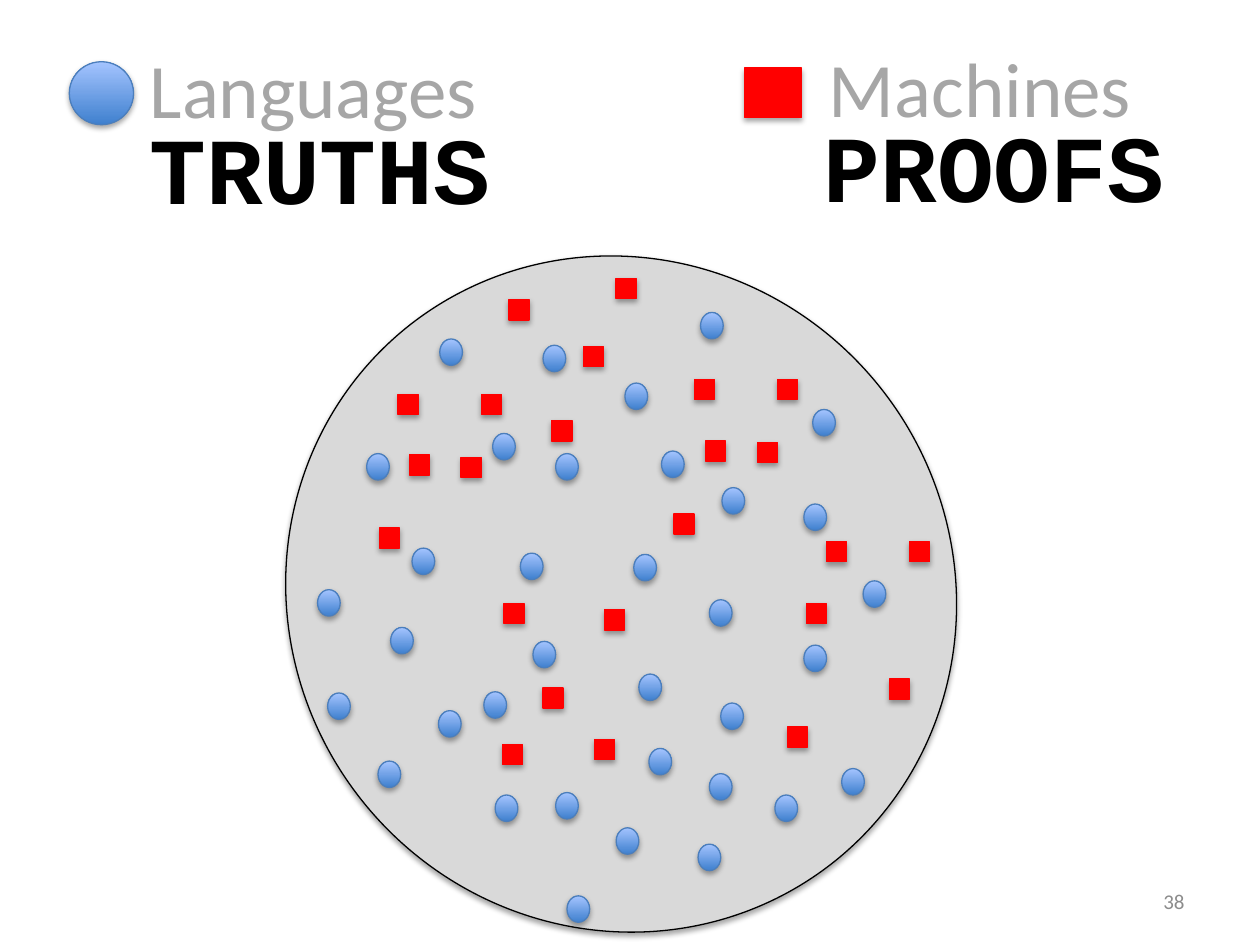
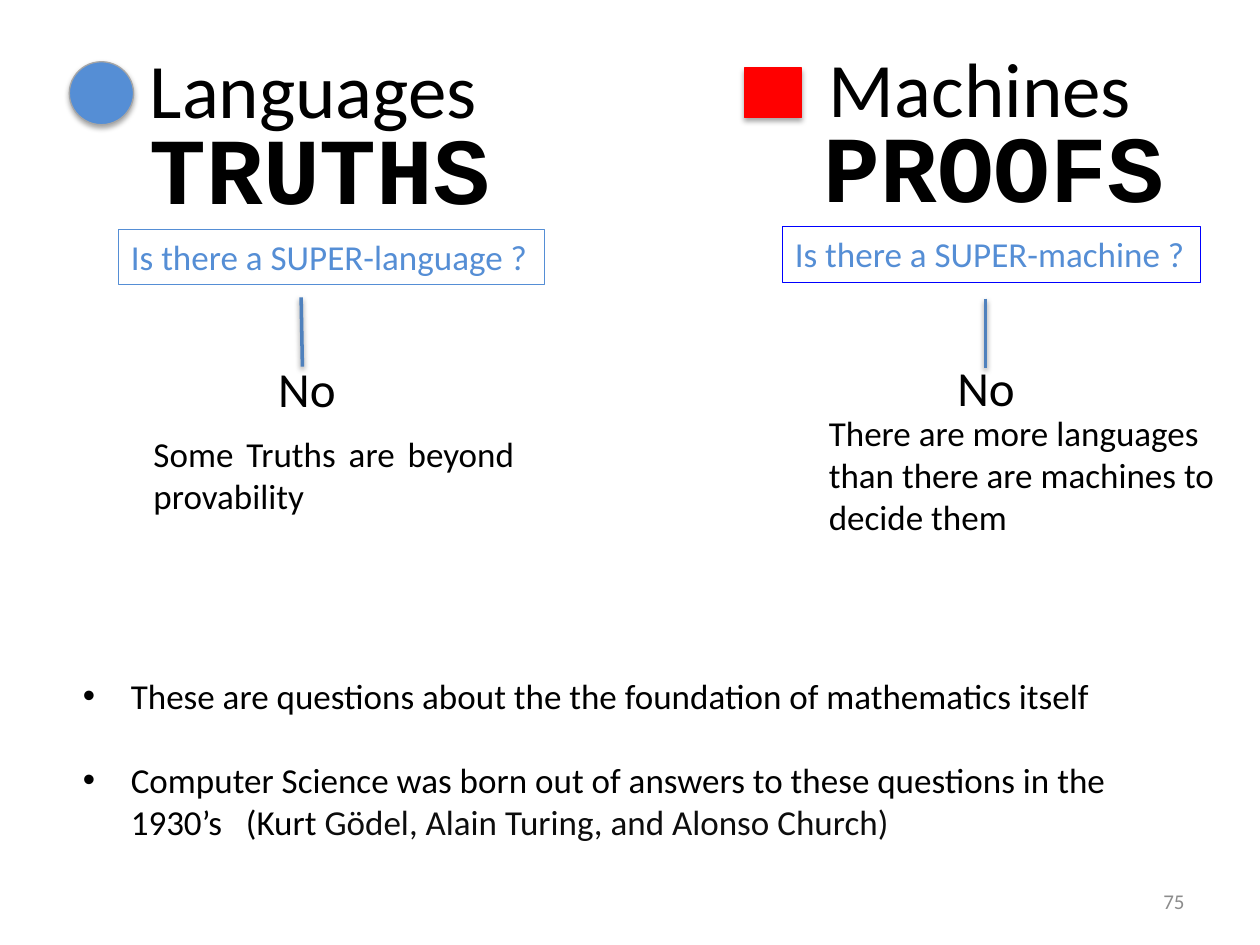
from dataclasses import dataclass

from lxml.etree import SubElement
from pptx import Presentation
from pptx.dml.color import RGBColor
from pptx.enum.shapes import MSO_CONNECTOR as Connector, MSO_SHAPE as Shape
from pptx.enum.text import MSO_ANCHOR as Anchor, MSO_AUTO_SIZE as AutoSize, PP_ALIGN as Align
from pptx.oxml.ns import qn
from pptx.util import Inches, Pt


@dataclass(frozen=True)
class Theme:
    body_font: str = "Calibri"
    label_font: str = "Courier New"
    black: str = "000000"
    soft_black: str = "0D0D0D"
    muted: str = "A6A6A6"
    number: str = "8C8C8C"
    disc: str = "D9D9D9"
    blue: str = "558ED5"
    blue_dark: str = "3F80CE"
    blue_light: str = "A4C4FF"
    blue_edge: str = "4B7EBC"
    connector: str = "4F81BD"
    frame_blue: str = "0000FF"
    red: str = "FF0000"
    heading_size: int = 44
    label_size: int = 54
    answer_size: int = 28
    body_size: int = 20
    number_size: int = 12
    thin: float = 0.75
    thick: float = 2


THEME = Theme()

# Shared headings: word, its place, label, its place
HEADINGS = [
    ("Languages", (1.09, 0.28, 2.83, 0.84), "TRUTHS", (1.09, 0.82, 2.93, 1.01)),
    ("Machines", (6.48, 0.27, 2.62, 0.84), "PROOFS", (6.44, 0.81, 2.93, 1.01)),
]
LANGUAGE_KEY = (0.55, 0.49, 0.51, 0.5)
MACHINE_KEY = (5.91, 0.54, 0.45, 0.39)
NUMBER_BOX = (7.17, 6.95, 2.33, 0.4)

# Slide 1: the scattered languages and machines (left, top)
DISC = (2.3, 2, 5.26, 5.43)
DISC_ROTATION = 322.2
LANGUAGE_SIZE = (0.18, 0.21)
MACHINE_SIZE = (0.16, 0.16)
LANGUAGES = [
    (2.91, 3.6), (4.41, 3.6), (4.23, 5.09), (4.13, 4.39), (3.27, 4.35),
    (3.84, 5.49), (5.07, 5.35), (6.15, 6.31), (5.15, 5.94), (3.93, 6.31),
    (5.63, 4.76), (6.85, 4.61), (6.68, 6.1), (6.38, 5.12), (5.72, 5.58),
    (4.41, 6.29), (5.63, 6.14), (5.54, 6.7), (4.89, 6.57), (4.5, 7.11),
    (5.25, 3.58), (6.45, 3.25), (6.38, 4), (5.73, 3.87), (5.03, 4.4),
    (3.49, 2.69), (5.56, 2.48), (4.96, 3.04), (4.31, 2.74), (3.91, 3.44),
    (2.52, 4.68), (3.1, 4.98), (3.48, 5.64), (3, 6.04), (2.6, 5.5),
]
MACHINES = [
    (4, 4.79), (4.31, 5.46), (4.8, 4.84), (4.72, 5.87), (3.99, 5.91),
    (6.56, 4.3), (6.4, 4.79), (7.22, 4.3), (7.06, 5.39), (6.25, 5.77),
    (5.51, 3.01), (5.6, 3.5), (6.17, 3.01), (6.01, 3.51), (5.35, 4.08),
    (4.04, 2.38), (4.63, 2.75), (4.89, 2.21), (4.38, 3.34), (3.16, 3.13),
    (3.25, 3.61), (3.82, 3.13), (3.66, 3.63), (3.01, 4.19),
]

# Slide 2: each question with its answer and reason
QUESTIONS = [
    dict(question="Is there a SUPER-language ?", question_box=(0.94, 1.82, 3.38, 0.44),
         frame=THEME.blue, line=(2.39, 2.36, 2.4, 2.91),
         answer="No", answer_box=(2.11, 2.8, 0.76, 0.57),
         reason="Some Truths are beyond provability",
         reason_box=(1.12, 3.38, 3.06, 0.77), align=Align.JUSTIFY),
    dict(question="Is there a SUPER-machine ?", question_box=(6.21, 1.8, 3.32, 0.44),
         frame=THEME.frame_blue, line=(7.82, 2.37, 7.82, 2.92),
         answer="No", answer_box=(7.5, 2.79, 0.76, 0.57),
         reason="There are more languages than there are machines to decide them",
         reason_box=(6.48, 3.22, 3.6, 1.11), align=Align.LEFT),
]
# Closing points: runs of (text, colour, letter spacing in points)
POINTS_BOX = (0.56, 5.3, 8.98, 1.45)
POINTS = [
    [("These are questions about the the foundation of mathematics itself", THEME.black, 0)],
    [("Computer Science was born out of answers to these questions in the 1930’s",
      THEME.black, 0),
     (" ", THEME.black, 9),
     ("(Kurt ", THEME.black, 0),
     ("Gödel, Alain Turing, and Alonso Church)", THEME.soft_black, 0)],
]
POINT_INDENT = 0.38
POINT_GAP = 24


def color(value):
    return RGBColor.from_string(value)


def inches(values):
    return [Inches(value) for value in values]


def add_shadow(shape, opacity=35, distance=1.8):
    """Give a shape or connector a soft shadow straight below it."""
    properties = shape._element.spPr
    effects = properties.find(qn("a:effectLst"))
    if effects is None:
        effects = SubElement(properties, qn("a:effectLst"))
    shadow = SubElement(effects, qn("a:outerShdw"), blurRad=str(Pt(3.1)),
                        dist=str(Pt(distance)), dir="5400000", rotWithShape="0")
    tint = SubElement(shadow, qn("a:srgbClr"), val=THEME.black)
    SubElement(tint, qn("a:alpha"), val=str(opacity * 1000))


def add_mark(slide, kind, box, fill, edge):
    """Add a shadowed shape; a pair of fills makes a gradient from bottom to top."""
    shape = slide.shapes.add_shape(kind, *inches(box))
    if isinstance(fill, tuple):
        shape.fill.gradient()
        shape.fill.gradient_angle = 90
        for stop, position, value in zip(shape.fill.gradient_stops, (0, 1), fill):
            stop.position = position
            stop.color.rgb = color(value)
    else:
        shape.fill.solid()
        shape.fill.fore_color.rgb = color(fill)
    shape.line.color.rgb = color(edge)
    shape.line.width = Pt(THEME.thin)
    shape.shadow.inherit = False
    add_shadow(shape)
    return shape


def add_language(slide, box):
    add_mark(slide, Shape.OVAL, box, (THEME.blue_dark, THEME.blue_light), THEME.blue_edge)


def add_machine(slide, box):
    add_mark(slide, Shape.RECTANGLE, box, THEME.red, THEME.red)


def add_text(slide, paragraphs, box, size=THEME.body_size, font=THEME.body_font,
             fill=THEME.black, bold=False, align=Align.LEFT, anchor=Anchor.TOP,
             wrap=True, grow=True, bullet=False, gap=0, frame=None):
    """Add a text box from one string or a list of paragraphs made of runs."""
    if isinstance(paragraphs, str):
        paragraphs = [[(paragraphs, fill, 0)]]
    text_box = slide.shapes.add_textbox(*inches(box))
    text_frame = text_box.text_frame
    text_frame.word_wrap = wrap
    text_frame.vertical_anchor = anchor
    text_frame.auto_size = AutoSize.SHAPE_TO_FIT_TEXT if grow else AutoSize.NONE
    if frame:
        text_box.line.color.rgb = color(frame)
        text_box.line.width = Pt(THEME.thin)
    for index, runs in enumerate(paragraphs):
        paragraph = text_frame.add_paragraph() if index else text_frame.paragraphs[0]
        paragraph.alignment = align
        if index and gap:
            paragraph.space_before = Pt(gap)
        if bullet:
            properties = paragraph._p.get_or_add_pPr()
            properties.set("marL", str(Inches(POINT_INDENT)))
            properties.set("indent", str(-Inches(POINT_INDENT)))
            SubElement(properties, qn("a:buFont"), typeface="Arial")
            SubElement(properties, qn("a:buChar"), char="•")
        for text, run_color, spacing in runs:
            run = paragraph.add_run()
            run.text = text
            run.font.name = font
            run.font.size = Pt(size)
            run.font.bold = bold
            run.font.color.rgb = color(run_color)
            if spacing:
                run._r.get_or_add_rPr().set("spc", str(spacing * 100))


def add_headings(slide, fill):
    for word, word_box, label, label_box in HEADINGS:
        add_text(slide, word, word_box, size=THEME.heading_size, fill=fill, wrap=False)
        add_text(slide, label, label_box, size=THEME.label_size, font=THEME.label_font,
                 bold=True, wrap=False)


def add_number(slide, number):
    add_text(slide, number, NUMBER_BOX, size=THEME.number_size, fill=THEME.number,
             align=Align.RIGHT, anchor=Anchor.MIDDLE, grow=False)


def add_line(slide, ends):
    line = slide.shapes.add_connector(Connector.STRAIGHT, *inches(ends))
    line.line.color.rgb = color(THEME.connector)
    line.line.width = Pt(THEME.thick)
    add_shadow(line, opacity=38, distance=1.6)


def build_scatter(slide):
    disc = add_mark(slide, Shape.OVAL, DISC, THEME.disc, THEME.black)
    disc.rotation = DISC_ROTATION
    add_headings(slide, THEME.muted)
    for place in LANGUAGES:
        add_language(slide, place + LANGUAGE_SIZE)
    for place in MACHINES:
        add_machine(slide, place + MACHINE_SIZE)
    add_language(slide, LANGUAGE_KEY)
    add_machine(slide, MACHINE_KEY)
    add_number(slide, "38")


def build_questions(slide):
    add_headings(slide, THEME.black)
    add_mark(slide, Shape.OVAL, LANGUAGE_KEY, THEME.blue, THEME.muted)
    add_machine(slide, MACHINE_KEY)
    for item in QUESTIONS:
        add_text(slide, item["question"], item["question_box"], fill=THEME.blue,
                 wrap=False, frame=item["frame"])
        add_line(slide, item["line"])
        add_text(slide, item["answer"], item["answer_box"], size=THEME.answer_size)
        add_text(slide, item["reason"], item["reason_box"], align=item["align"])
    add_text(slide, POINTS, POINTS_BOX, bullet=True, gap=POINT_GAP)
    add_number(slide, "75")


def main():
    presentation = Presentation()
    presentation.slide_width, presentation.slide_height = Inches(10), Inches(7.5)
    blank = presentation.slide_layouts[6]
    for build in (build_scatter, build_questions):
        build(presentation.slides.add_slide(blank))
    presentation.save("out.pptx")


if __name__ == "__main__":
    main()
